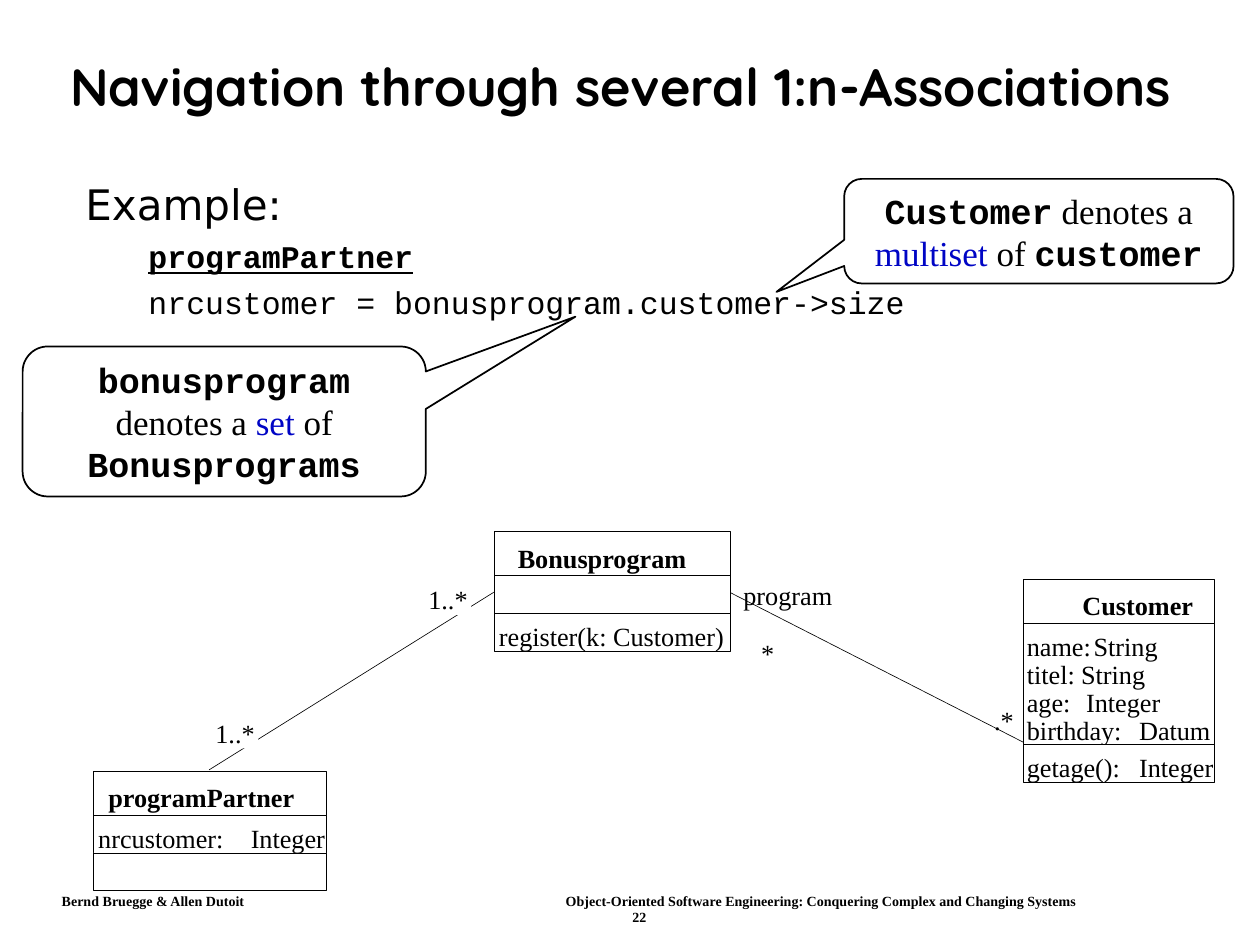
import pptx
import pptx.util
import pptx.dml.color
import pptx.enum.shapes
import pptx.enum.text
import pptx.oxml.ns
import lxml.etree

# The slide is a grid of 100 columns by 75 rows of square cells
COLUMNS, ROWS = 100, 75
CELL = 0.1
COLORS = {"ink": "000000", "paper": "FFFFFF", "accent": "0005C5"}
SERIF, MONO, SANS, TITLE = "Times New Roman", "Courier New", "DejaVu Sans", "Quicksand"
HEAD, ROW, LINE_PITCH = 3.5, 3.0, 2.2
ANCHOR = pptx.enum.text.MSO_ANCHOR
ALIGN = pptx.enum.text.PP_ALIGN
SHAPE = pptx.enum.shapes.MSO_SHAPE


def cells(*counts):
    return [pptx.util.Inches(round(count * CELL, 3)) for count in counts]


def color(name):
    return pptx.dml.color.RGBColor.from_string(COLORS[name])


def add_span(para, text, size, font=SERIF, bold=False, ink="ink", underline=False):
    span = para.add_run()
    span.text = text
    span.font.size = pptx.util.Pt(size)
    span.font.name = font
    span.font.bold = bold
    span.font.underline = underline
    span.font.color.rgb = color(ink)


def set_margins(frame, across, down):
    frame.margin_left = frame.margin_right = pptx.util.Inches(across)
    frame.margin_top = frame.margin_bottom = pptx.util.Inches(down)


def add_label(page, left, top, width, text, size=15, bold=False, filled=False):
    """One line of serif text without margins, in a box one line high."""
    box = page.shapes.add_textbox(*cells(left, top, width, size / 6))
    set_margins(box.text_frame, 0, 0)
    box.text_frame.word_wrap = True
    if filled:
        box.fill.solid()
        box.fill.fore_color.rgb = color("paper")
    add_span(box.text_frame.paragraphs[0], text, size, bold=bold)


def add_outlined(page, kind, place, weight):
    shape = page.shapes.add_shape(kind, *cells(*place))
    shape.shadow.inherit = False
    shape.fill.solid()
    shape.fill.fore_color.rgb = color("paper")
    shape.line.color.rgb = color("ink")
    shape.line.width = pptx.util.Pt(weight)
    return shape


def add_class(page, left, top, width, name, name_at, compartments):
    """A UML class: a name row, then (height, lines) compartments.

    A line is a list of (offset from the left edge, width, text).
    """
    add_outlined(page, SHAPE.RECTANGLE, (left, top, width, HEAD), 0.37)
    add_label(page, left + name_at, top + 0.8, width - name_at, name, bold=True)
    top += HEAD
    for height, lines in compartments:
        add_outlined(page, SHAPE.RECTANGLE, (left, top, width, height), 0.37)
        for number, line in enumerate(lines):
            for offset, span_width, text in line:
                add_label(page, left + offset, top + 0.55 + number * LINE_PITCH,
                          span_width, text)
        top += height


def add_association(page, start, end):
    line = page.shapes.add_connector(pptx.enum.shapes.MSO_CONNECTOR.STRAIGHT,
                                     *cells(*start, *end))
    line.line.color.rgb = color("ink")
    line.line.width = pptx.util.Pt(0.37)
    properties = line._element.spPr
    lxml.etree.SubElement(properties, pptx.oxml.ns.qn("a:effectLst"))


def add_callout(page, place, tip, subject, kind, target):
    shape = add_outlined(page, SHAPE.ROUNDED_RECTANGULAR_CALLOUT, place, 1)
    for index, value in enumerate((*tip, 0.167)):
        shape.adjustments[index] = value
    frame = shape.text_frame
    frame.word_wrap = True
    frame.vertical_anchor = ANCHOR.MIDDLE
    set_margins(frame, 0.1, 0.05)
    para = frame.paragraphs[0]
    para.alignment = ALIGN.CENTER
    add_span(para, subject, 20, MONO, bold=True)
    add_span(para, " denotes a ", 20)
    add_span(para, kind, 20, ink="accent")
    add_span(para, " of ", 20)
    add_span(para, target, 20, MONO, bold=True)


def add_block(page, place, lines, anchor=ANCHOR.TOP):
    """Paragraphs given as (text, size, font, bold, underline, indent, space before)."""
    frame = page.shapes.add_textbox(*cells(*place)).text_frame
    frame.word_wrap = True
    frame.vertical_anchor = anchor
    set_margins(frame, 0.1, 0.05)
    for number, (text, size, font, bold, underline, indent, before) in enumerate(lines):
        para = frame.add_paragraph() if number else frame.paragraphs[0]
        para.line_spacing = 0.9
        para.space_before = pptx.util.Pt(before)
        para._p.get_or_add_pPr().set("marL", str(pptx.util.Inches(indent)))
        add_span(para, text, size, font, bold, underline=underline)


def main():
    deck = pptx.Presentation()
    deck.slide_width, deck.slide_height = cells(COLUMNS, ROWS)
    page = deck.slides.add_slide(deck.slide_layouts[6])

    # Footer
    for left, top, width, text in [
        (4.9, 70.8, 18, "Bernd Bruegge & Allen Dutoit"),
        (44.9, 70.8, 45,
         "Object-Oriented Software Engineering: Conquering Complex and Changing Systems"),
        (50.2, 72.1, 2, "22"),
    ]:
        add_label(page, left, top, width, text, size=8, bold=True)

    # Title and example
    add_block(page, (4.6, 2.4, 91.8, 9.4),
              [("Navigation through several 1:n-Associations", 30, TITLE, True, False, 0, 0)],
              ANCHOR.MIDDLE)
    add_block(page, (5.8, 14.1, 87.5, 18.7), [
        ("Example:", 24, SANS, False, False, 0, 0),
        ("programPartner", 18, MONO, True, True, 0.5, 6.8),
        ("nrcustomer = bonusprogram.customer->size", 18, MONO, False, False, 0.5, 6.8),
    ])

    # Class diagram
    add_class(page, 7.4, 61.2, 18.5, "programPartner", 1.2, [
        (ROW, [[(0.4, 11, "nrcustomer:"), (12.5, 6.5, "Integer")]]),
        (ROW, []),
    ])
    add_class(page, 81.2, 46, 15.2, "Customer", 4.7, [
        (9.6, [
            [(0.3, 5.3, "name:"), (5.6, 6, "String")],
            [(0.3, 4.3, "titel:"), (4.6, 6, "String")],
            [(0.3, 4.3, "age:"), (5, 6.5, "Integer")],
            [(0.3, 8.5, "birthday:"), (9.2, 6.5, "Datum")],
        ]),
        (ROW, [[(0.3, 8.5, "getage():"), (9.2, 6.5, "Integer")]]),
    ])
    add_association(page, (16.6, 61.1), (39.2, 47))
    add_association(page, (81.2, 58.9), (57.9, 47))
    add_class(page, 39.2, 42.2, 18.75, "Bonusprogram", 1.9, [
        (ROW, []),
        (ROW, [[(0.4, 20, "register(k: Customer)")]]),
    ])

    # Role name and multiplicities
    for left, top, width, text, filled in [
        (17.1, 56.9, 3.4, "1..*", True),
        (34, 46.3, 3.4, "1..*", True),
        (59, 46, 8.5, "program", False),
        (60.4, 50.6, 2, "*", False),
        (78.9, 55.9, 2.2, ".*", False),
    ]:
        add_label(page, left, top, width, text, filled=filled)

    # Callouts
    add_callout(page, (67, 14.2, 30.9, 8.3), (-0.674, 0.581),
                "Customer", "multiset", "customer")
    add_callout(page, (1.8, 27.5, 32, 11.9), (0.871, -0.699),
                "bonusprogram", "set", "Bonusprograms")

    deck.save("out.pptx")


if __name__ == "__main__":
    main()
